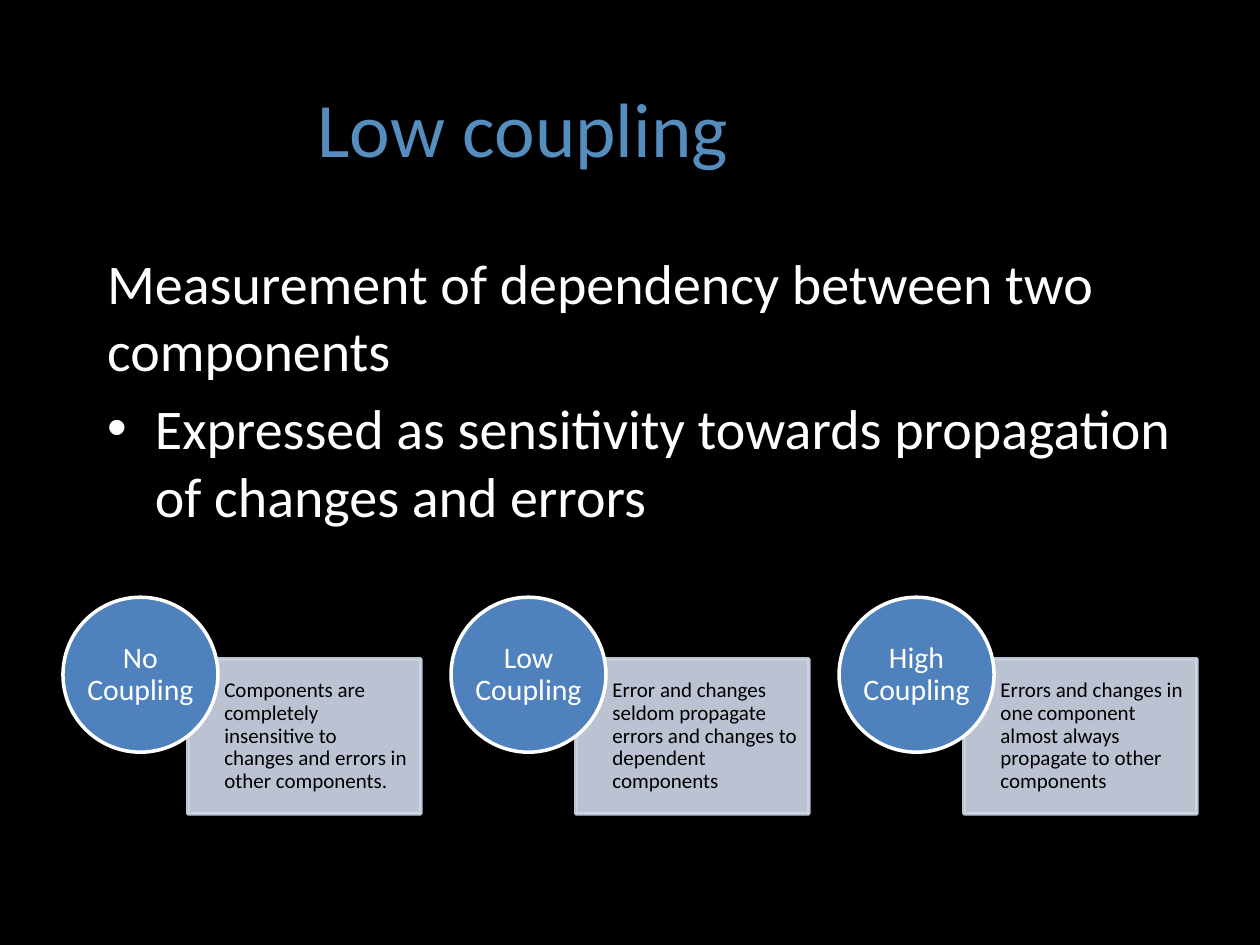
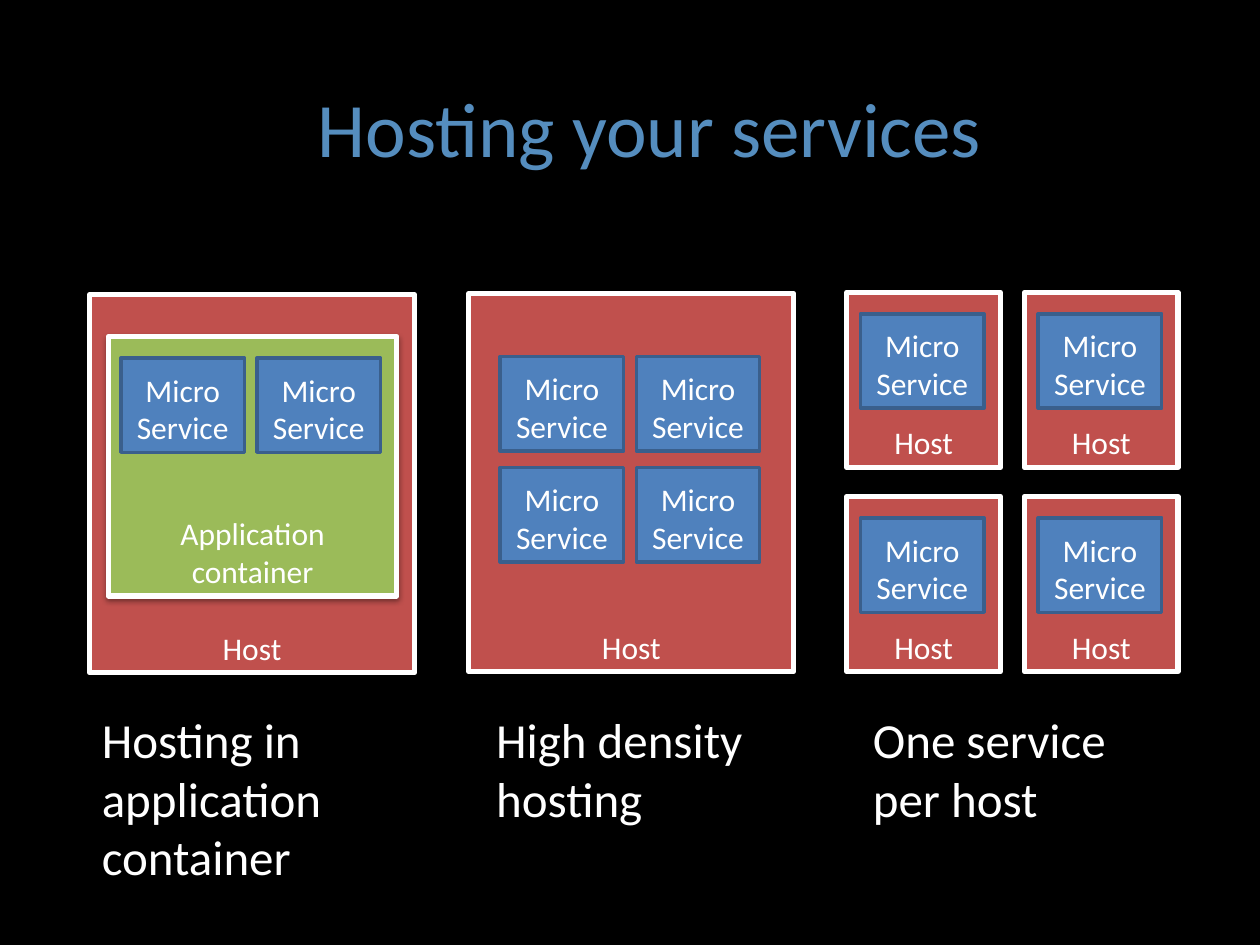
from dataclasses import dataclass

from lxml import etree
from pptx import Presentation
from pptx.dml.color import RGBColor
from pptx.enum.shapes import MSO_SHAPE
from pptx.enum.text import MSO_ANCHOR, MSO_AUTO_SIZE, PP_ALIGN
from pptx.oxml.ns import qn
from pptx.util import Emu, Pt

RECTANGLE, ELLIPSE = MSO_SHAPE.RECTANGLE, MSO_SHAPE.OVAL
TOP, MIDDLE, BOTTOM = MSO_ANCHOR.TOP, MSO_ANCHOR.MIDDLE, MSO_ANCHOR.BOTTOM
LEFT, CENTER = PP_ALIGN.LEFT, PP_ALIGN.CENTER
FIXED, GROW = MSO_AUTO_SIZE.NONE, MSO_AUTO_SIZE.SHAPE_TO_FIT_TEXT
EMU_PER_PX = 9144
TITLE_AND_BODY, TITLE_ONLY = 1, 5


@dataclass(frozen=True)
class Theme:
    font: str = "Calibri"
    background: str = "000000"
    title: str = "558DBE"
    light: str = "FFFFFF"
    dark: str = "000000"
    blue: str = "4F81BD"
    blue_edge: str = "3A5F8C"
    red: str = "C0504D"
    green: str = "9BBB59"
    panel: str = "D0D8E8"
    title_size: int = 44
    body_size: int = 32
    caption_size: int = 28
    label_size: int = 18
    circle_size: int = 17
    note_size: int = 12


THEME = Theme()


def px(length):
    return Emu(length * EMU_PER_PX)


def set_alpha(fill, percent):
    color = fill._xPr.find(qn("a:solidFill"))[0]
    etree.SubElement(color, qn("a:alpha"), val=str(percent * 1000))


def set_bullet(para, bullet, indent):
    properties = para._p.get_or_add_pPr()
    properties.set("marL", str(px(indent)))
    properties.set("indent", str(-px(indent)))
    if bullet:
        etree.SubElement(properties, qn("a:buChar"), char=bullet)
    else:
        etree.SubElement(properties, qn("a:buNone"))


def write(frame, *texts, size, color=THEME.light, align=LEFT, anchor=TOP,
          spacing=1, gap=0, bullets=(), insets=(10, 5, 10, 5), auto_size=FIXED):
    frame.word_wrap = True
    frame.auto_size = auto_size
    frame.vertical_anchor = anchor
    (frame.margin_left, frame.margin_top,
     frame.margin_right, frame.margin_bottom) = map(px, insets)
    for index, text in enumerate(texts):
        para = frame.add_paragraph() if index else frame.paragraphs[0]
        if bullets:
            set_bullet(para, *bullets[index])
        para.text = text
        para.alignment = align
        para.line_spacing = spacing
        para.space_before = Pt(gap if index else 0)
        for span in para.runs:
            span.font.name = THEME.font
            span.font.size = Pt(size)
            span.font.color.rgb = RGBColor.from_string(color)


class Painter:
    def __init__(self, deck, theme):
        self.deck = deck
        self.theme = theme
        self.page = None
        fill = deck.slide_master.background.fill
        fill.solid()
        fill.fore_color.rgb = RGBColor.from_string(theme.background)

    def start(self, layout, title):
        self.page = self.deck.slides.add_slide(self.deck.slide_layouts[layout])
        self.place(self.page.shapes.title, 242, 20, 708, 122)
        write(self.page.shapes.title.text_frame, title,
              size=self.theme.title_size, color=self.theme.title, anchor=BOTTOM)

    def place(self, shape, *bounds):
        shape.left, shape.top, shape.width, shape.height = map(px, bounds)

    def body(self, bounds, *texts, **style):
        body = self.page.placeholders[1]
        self.place(body, *bounds)
        write(body.text_frame, *texts, size=self.theme.body_size, **style)

    def caption(self, bounds, text):
        box = self.page.shapes.add_textbox(*map(px, bounds))
        write(box.text_frame, text, size=self.theme.caption_size, auto_size=GROW)

    def shape(self, kind, bounds, text, fill, edge, weight=2, alpha=None,
              shadow=False, **style):
        shape = self.page.shapes.add_shape(kind, *map(px, bounds))
        shape.shadow.inherit = False
        shape.line.width = Pt(weight)
        for paint, color in ((shape.fill, fill), (shape.line.fill, edge)):
            paint.solid()
            paint.fore_color.rgb = RGBColor.from_string(color)
            if alpha:
                set_alpha(paint, alpha)
        if shadow:
            self.cast_shadow(shape)
        write(shape.text_frame, text, **style)

    def cast_shadow(self, shape):
        effects = shape._element.spPr.find(qn("a:effectLst"))
        outer = etree.SubElement(effects, qn("a:outerShdw"), blurRad=str(Pt(3.1)),
                                 dist=str(Pt(1.6)), dir="5400000", rotWithShape="0")
        color = etree.SubElement(outer, qn("a:srgbClr"), val=self.theme.dark)
        etree.SubElement(color, qn("a:alpha"), val="38000")

    def container(self, bounds, text="Host", fill=THEME.red):
        self.shape(RECTANGLE, bounds, text, fill, self.theme.light, weight=3,
                   shadow=True, size=self.theme.label_size, align=CENTER, anchor=BOTTOM)

    def services(self, left, top, columns=1, rows=1):
        for row in range(rows):
            for column in range(columns):
                bounds = (left + 108 * column, top + 88 * row, 98, 75)
                self.shape(RECTANGLE, bounds, "Micro\nService", self.theme.blue,
                           self.theme.blue_edge, size=self.theme.label_size,
                           align=CENTER, anchor=BOTTOM)

    def coupling_level(self, left, name, effect):
        theme = self.theme
        self.shape(RECTANGLE, (left + 99, 523, 185, 123), effect, theme.panel,
                   theme.panel, alpha=90, size=theme.note_size, color=theme.dark,
                   anchor=MIDDLE, spacing=0.9, insets=(29, 9, 9, 9))
        self.shape(ELLIPSE, (left, 474, 123, 123), name, theme.blue, theme.light,
                   size=theme.circle_size, align=CENTER, anchor=MIDDLE,
                   spacing=0.9, insets=(0, 0, 0, 0))


def build_coupling(painter):
    painter.start(TITLE_AND_BODY, "Low coupling")
    painter.body((75, 192, 875, 344),
                 "Measurement of dependency between two components",
                 "Expressed as sensitivity towards propagation of changes and errors",
                 gap=6.4, bullets=((None, 0), ("•", 38)))
    levels = (
        ("No Coupling", "Components are completely insensitive to changes "
                        "and errors in other components."),
        ("Low Coupling", "Error and changes seldom propagate errors "
                         "and changes to dependent components"),
        ("High Coupling", "Errors and changes in one component almost always "
                          "propagate to other components"),
    )
    for index, (name, effect) in enumerate(levels):
        painter.coupling_level(50 + 308 * index, name, effect)


def build_hosting(painter):
    painter.start(TITLE_ONLY, "Hosting your services")
    painter.container((71, 234, 258, 300))
    painter.container((86, 267, 229, 206), "Application container", THEME.green)
    painter.services(96, 284, columns=2)

    painter.container((372, 233, 258, 300))
    painter.services(397, 283, columns=2, rows=2)

    for top in (232, 394):
        for left in (672, 813):
            painter.container((left, top, 122, 139))
            painter.services(left + 11, top + 17)

    captions = ((71, 151, "Hosting in\napplication container"),
                (384, 104, "High density hosting"),
                (683, 104, "One service per host"))
    for left, height, text in captions:
        painter.caption((left, 558, 250, height), text)


def main():
    deck = Presentation()
    deck.slide_width, deck.slide_height = px(1000), px(750)
    painter = Painter(deck, THEME)
    build_coupling(painter)
    build_hosting(painter)
    deck.save("out.pptx")


if __name__ == "__main__":
    main()
